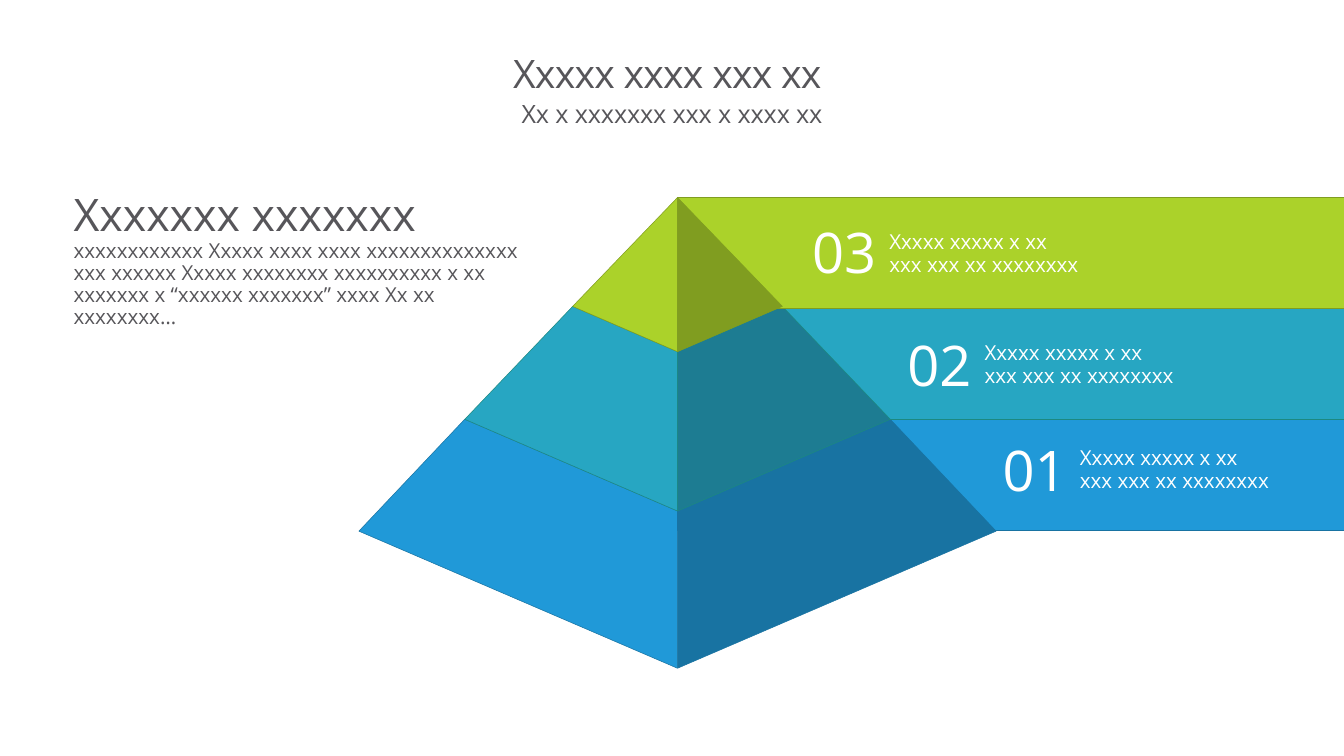
from copy import deepcopy

from pptx import Presentation
from pptx.dml.color import RGBColor
from pptx.enum.shapes import MSO_SHAPE
from pptx.enum.text import MSO_ANCHOR as ANCHOR, MSO_AUTO_SIZE as AUTO, PP_ALIGN as ALIGN
from pptx.util import Inches, Pt

FONT = "Open Sans"
COLORS = {
    "text": "57565A", "white": "FFFFFF",
    "green": "ABD22A", "green_dark": "809D20",
    "teal": "27A6C2", "teal_dark": "1D7C92", "teal_line": "1C8980",
    "blue": "2099D8", "blue_dark": "1873A2",
}
CENTER_X = 6.72
BAR_TOP, BAR_WIDTH, BAR_HEIGHT = 1.96, 7.28, 1.1
LABEL_LEFT, LABEL_STEP = 7.91, 0.945
TIER_TEXT = "Xxxxx xxxxx x xx \nxxx xxx xx xxxxxxxx"
# half width, edge y and ridge y of each level, from the apex down
LEVELS = [(0, 1.96, 1.96), (1.04, 3.04, 3.49), (2.11, 4.16, 5.07), (3.16, 5.27, 6.63)]
TIERS = [
    ("03", "green", "green_dark", "green_dark", 2.19, 2.24),
    ("02", "teal", "teal_dark", "teal_line", 3.31, 3.34),
    ("01", "blue", "blue_dark", "blue_dark", 4.35, 4.38),
]
BODY = ("xxxxxxxxxxxx Xxxxx xxxx xxxx xxxxxxxxxxxxxx xxx xxxxxx Xxxxx xxxxxxxx "
        "xxxxxxxxxx x xx xxxxxxx x “xxxxxx xxxxxxx” xxxx Xx xx xxxxxxxx…")


def rgb(name):
    return RGBColor.from_string(COLORS[name])


def style(sp, fill, line):
    sp.shadow.inherit = False
    sp.fill.solid()
    sp.fill.fore_color.rgb = rgb(fill)
    sp.line.color.rgb = rgb(line)
    sp.line.width = Pt(0.38)


def write(p, text, size, color="text", align=ALIGN.LEFT, spacing=0.89, tracking=None):
    p.text = text
    p.alignment = align
    p.line_spacing = spacing
    p.space_before = Pt(0)
    for r in p.runs:
        r.font.name = FONT
        r.font.size = Pt(size)
        r.font.color.rgb = rgb(color)
        if tracking is not None:
            r._r.get_or_add_rPr().set("spc", str(tracking))
    for br in p._p.br_lst if hasattr(p._p, "br_lst") else p._p.xpath("a:br"):
        br.insert(0, deepcopy(p.runs[0]._r.rPr))


def set_frame(sp, box, insets=(0, 0, 0, 0), wrap=True, auto=AUTO.NONE, anchor=ANCHOR.TOP):
    sp.left, sp.top, sp.width, sp.height = map(Inches, box)
    tf = sp.text_frame
    tf.margin_left, tf.margin_top, tf.margin_right, tf.margin_bottom = map(Inches, insets)
    tf.word_wrap = wrap
    tf.auto_size = auto
    tf.vertical_anchor = anchor
    return tf


def add_text(slide, box, **frame):
    sp = slide.shapes.add_textbox(*map(Inches, box))
    return set_frame(sp, box, **frame)


def add_face(slide, upper, lower, side, fill, line):
    (top_dx, top_y, top_ridge), (dx, y, ridge) = upper, lower
    points = [(CENTER_X + side * top_dx, top_y), (CENTER_X + side * dx, y),
              (CENTER_X, ridge), (CENTER_X, top_ridge)]
    points = [(Inches(px), Inches(py)) for px, py in points]
    builder = slide.shapes.build_freeform(*points[0])
    builder.add_line_segments(points[1:], close=True)
    style(builder.convert_to_shape(), fill, line)


def add_tier(slide, i):
    number, light, dark, line, number_top, text_top = TIERS[i]
    bar = slide.shapes.add_shape(
        MSO_SHAPE.RECTANGLE, Inches(CENTER_X), Inches(BAR_TOP + i * BAR_HEIGHT),
        Inches(BAR_WIDTH), Inches(BAR_HEIGHT))
    style(bar, light, line)
    for side, fill in ((-1, light), (1, dark)):
        add_face(slide, LEVELS[i], LEVELS[i + 1], side, fill, line)
    left = LABEL_LEFT + i * LABEL_STEP
    tf = add_text(slide, (left, number_top, 0.91, 0.72), wrap=False,
                  insets=(0.13, 0.05, 0.13, 0.07), auto=AUTO.SHAPE_TO_FIT_TEXT)
    write(tf.paragraphs[0], number, 40, color="white", align=ALIGN.RIGHT)
    tf = add_text(slide, (left + 0.64, text_top, 2.84, 0.63),
                  insets=(0.27, 0.05, 0.27, 0.11), auto=AUTO.SHAPE_TO_FIT_TEXT)
    write(tf.paragraphs[0], TIER_TEXT, 14.7, color="white", spacing=0.95)


def main():
    prs = Presentation()
    prs.slide_width, prs.slide_height = Inches(13.33), Inches(7.5)
    slide = prs.slides.add_slide(prs.slide_layouts[5])

    tf = set_frame(slide.shapes.title, (1, 0.31, 11.33, 0.89), anchor=ANCHOR.MIDDLE)
    write(tf.paragraphs[0], "Xxxxx xxxx xxx xx ", 28,
          align=ALIGN.CENTER, spacing=0.86, tracking=-50)
    tf = add_text(slide, (1, 1.02, 11.33, 0.44))
    write(tf.paragraphs[0], "Xx x xxxxxxx xxx x xxxx xx", 18,
          align=ALIGN.CENTER, spacing=0.86, tracking=-10)

    tf = add_text(slide, (0.6, 1.87, 4.74, 1.26),
                  insets=(0.13, 0.05, 0.13, 0.07), auto=AUTO.SHAPE_TO_FIT_TEXT)
    write(tf.paragraphs[0], "Xxxxxxx xxxxxxx", 32)
    write(tf.add_paragraph(), BODY, 14.7)

    for i in reversed(range(len(TIERS))):
        add_tier(slide, i)
    prs.save("out.pptx")


if __name__ == "__main__":
    main()
